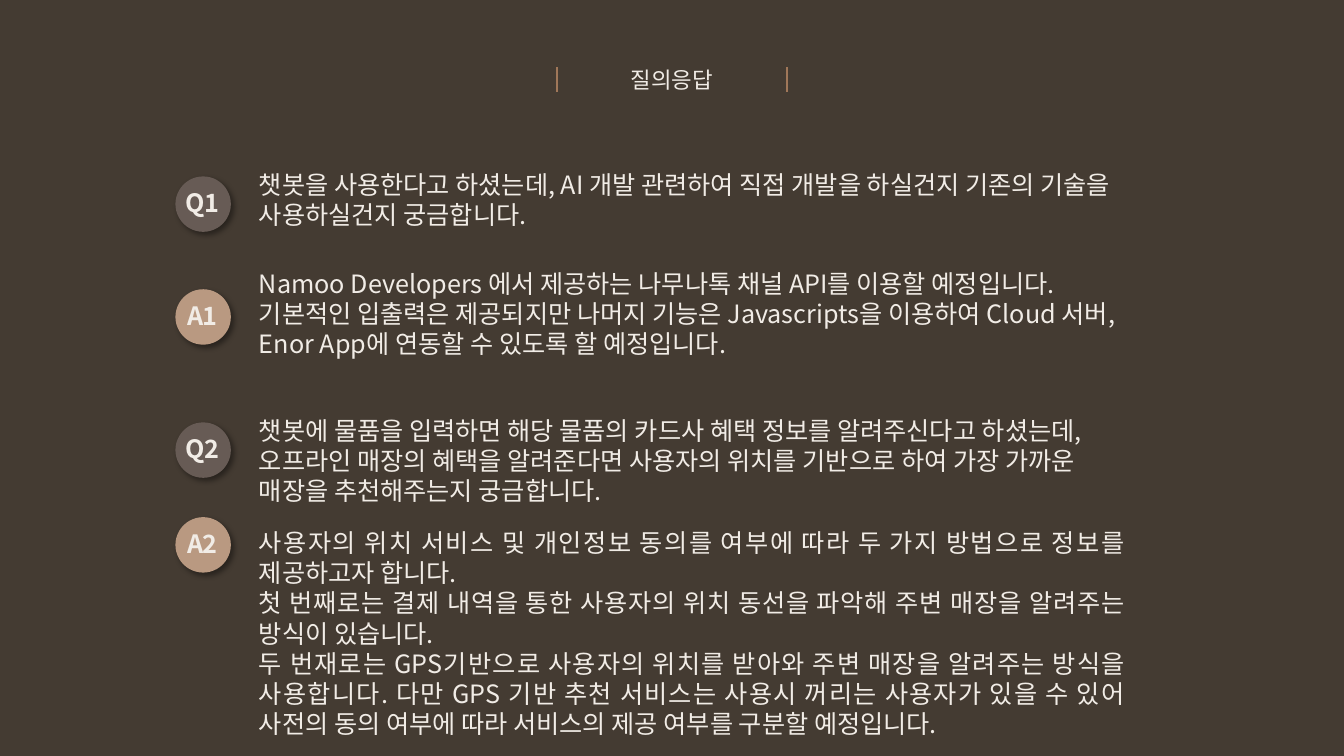
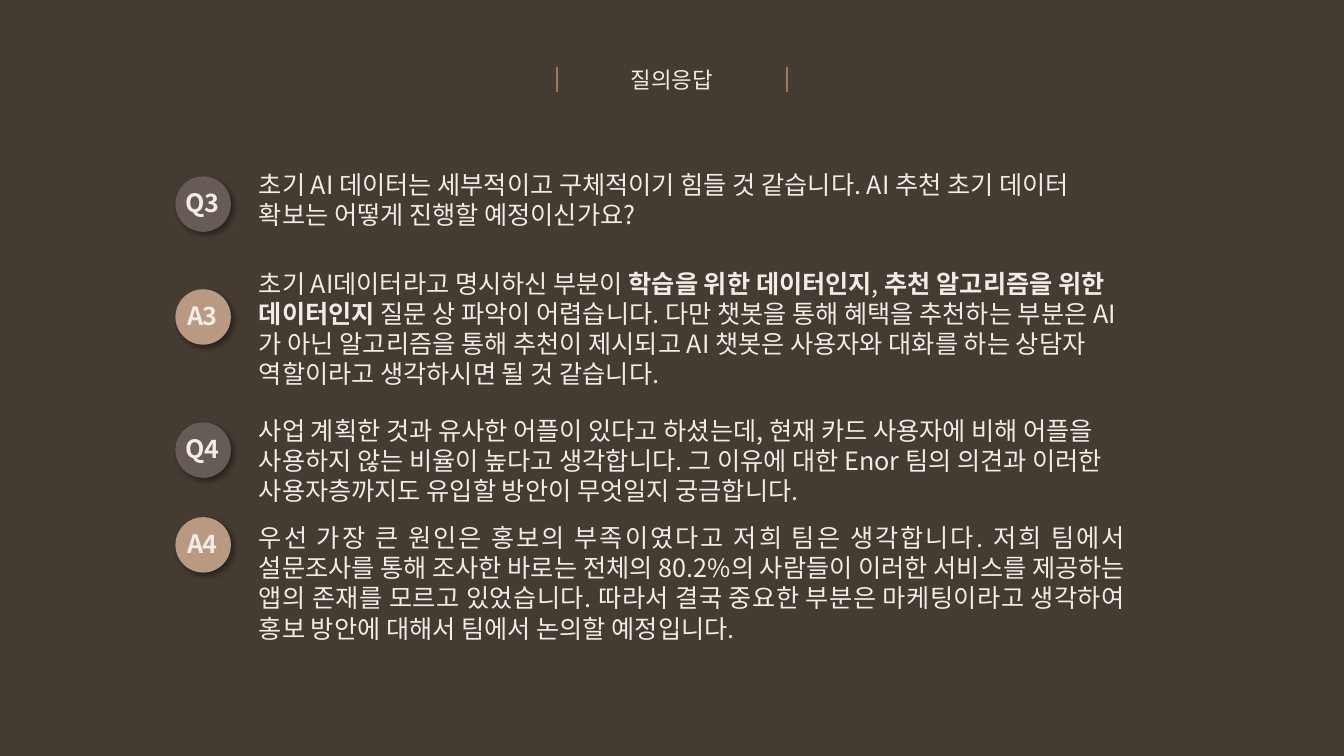
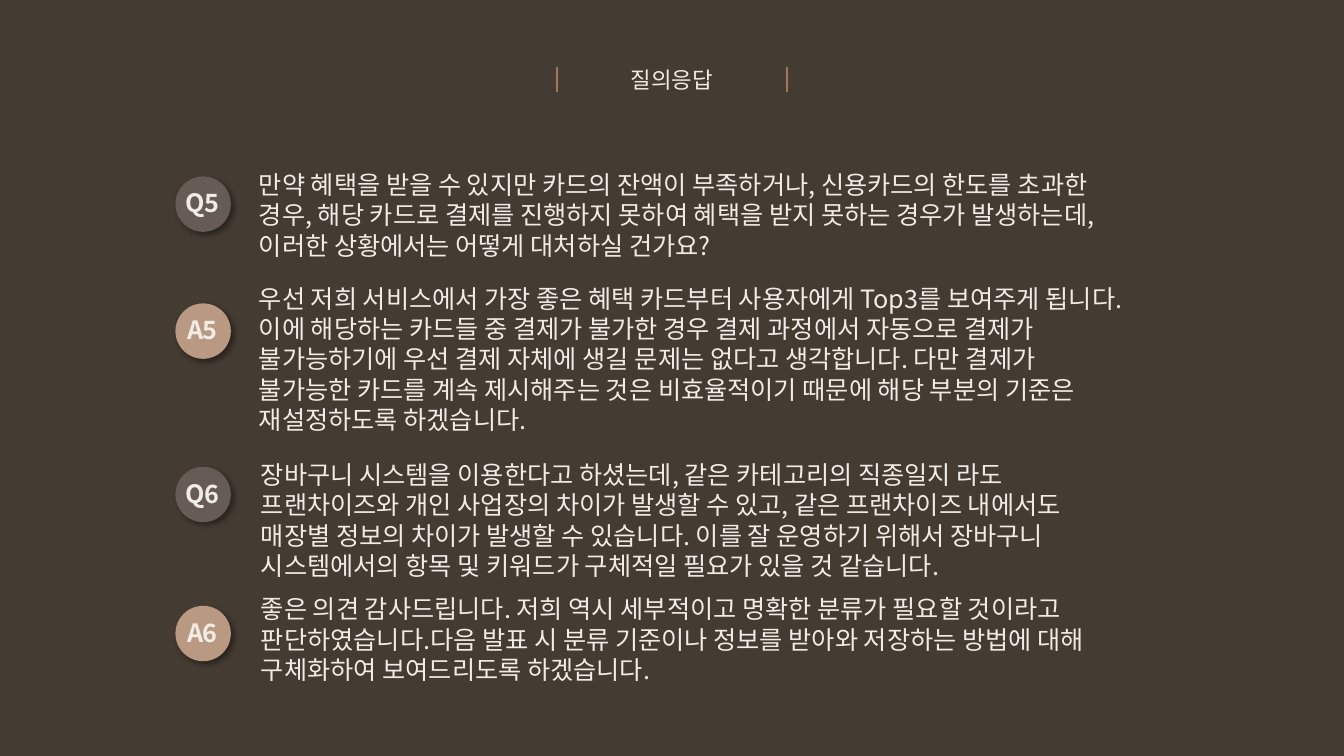
from lxml import etree
from pptx import Presentation
from pptx.dml.color import RGBColor
from pptx.enum.shapes import MSO_CONNECTOR, MSO_SHAPE
from pptx.enum.text import MSO_ANCHOR, MSO_AUTO_SIZE, PP_ALIGN
from pptx.oxml import parse_xml
from pptx.oxml.ns import nsdecls, qn
from pptx.util import Inches, Pt

COLUMNS, ROWS = 96, 54
BACKDROP, CREAM, COPPER = "443B32", "F1ECE6", "A07759"
BADGE_FILLS = {"Q": "675B55", "A": "B99981"}
TITLE_FONT, BODY_FONT = "Noto Sans", "Noto Sans CJK KR"
LEFT, CENTER, JUSTIFY = PP_ALIGN.LEFT, PP_ALIGN.CENTER, PP_ALIGN.JUSTIFY


def color(value):
    return RGBColor.from_string(value)


class Deck:
    """Dark question-and-answer slides laid out on a 96 by 54 grid."""

    def __init__(self):
        self.prs = Presentation()
        self.prs.slide_width, self.prs.slide_height = Inches(13.333), Inches(7.5)
        self.unit_x = self.prs.slide_width / COLUMNS
        self.unit_y = self.prs.slide_height / ROWS
        self.slide = None
        backdrop = self.prs.slide_master.background.fill
        backdrop.solid()
        backdrop.fore_color.rgb = color(BACKDROP)

    def place(self, col, row, cols, rows):
        return (int(col * self.unit_x), int(row * self.unit_y),
                int(cols * self.unit_x), int(rows * self.unit_y))

    def new_slide(self, title):
        self.slide = self.prs.slides.add_slide(self.prs.slide_layouts[5])
        heading = self.slide.shapes.title
        (heading.left, heading.top,
         heading.width, heading.height) = self.place(44.04, 4.39, 7.92, 2.66)
        self.set_text(heading.text_frame, [title], CENTER, 16, TITLE_FONT, wrap=False)
        for offset in (-8.24, 8.24):
            self.divider(COLUMNS / 2 + offset, 4.82, 6.55)

    def set_text(self, frame, paragraphs, align, size=18, font=BODY_FONT,
                 wrap=True, bold=False, spacing=None):
        frame.word_wrap = wrap
        frame.auto_size = MSO_AUTO_SIZE.SHAPE_TO_FIT_TEXT
        frame.vertical_anchor = MSO_ANCHOR.TOP
        for index, text in enumerate(paragraphs):
            paragraph = frame.add_paragraph() if index else frame.paragraphs[0]
            paragraph.alignment = align
            for part, piece in enumerate(text.split("*")):
                run = paragraph.add_run()
                run.text = piece
                run.font.size, run.font.name = Pt(size), font
                run.font.bold = bold or part % 2 == 1
                run.font.color.rgb = color(CREAM)
                props = run._r.get_or_add_rPr()
                etree.SubElement(props, qn("a:ea")).set("typeface", BODY_FONT)
                if spacing is not None:
                    props.set("spc", str(int(spacing * 100)))

    def divider(self, col, top, bottom):
        x, y, _, height = self.place(col, top, 0, bottom - top)
        line = self.slide.shapes.add_connector(
            MSO_CONNECTOR.STRAIGHT, x, y, x, y + height)
        line.line.color.rgb = color(COPPER)
        line.line.width = Pt(1.25)
        etree.SubElement(line._element.spPr, qn("a:effectLst"))

    def badge(self, label, row):
        disc = self.slide.shapes.add_shape(
            MSO_SHAPE.OVAL, *self.place(12.53, row, 3.96, 3.96))
        disc.fill.solid()
        disc.fill.fore_color.rgb = color(BADGE_FILLS[label[0]])
        disc.line.fill.background()
        disc._element.spPr.append(parse_xml(
            f'<a:effectLst {nsdecls("a")}><a:outerShdw blurRad="{Pt(4)}" '
            f'dist="{Pt(3)}" dir="{45 * 60000}" algn="tl" rotWithShape="0">'
            '<a:srgbClr val="000000"><a:alpha val="40000"/></a:srgbClr>'
            '</a:outerShdw></a:effectLst>'))
        box = self.slide.shapes.add_textbox(*self.place(11.23, row + 0.46, 6.48, 2.88))
        self.set_text(box.text_frame, [label], CENTER, bold=True, spacing=-0.5)

    def passage(self, paragraphs, row, lines, align, col):
        box = self.slide.shapes.add_textbox(
            *self.place(col, row, 63.29, 0.72 + 2.18 * lines))
        self.set_text(box.text_frame, paragraphs, align)

    def entry(self, label, badge_row, text_row, lines, paragraphs, align=LEFT, col=17.78):
        self.badge(label, badge_row)
        self.passage(paragraphs, text_row, lines, align, col)


SLIDES = [
    [
        ("Q1", 12.6, 11.74, 2, [
            "챗봇을 사용한다고 하셨는데, AI 개발 관련하여 직접 개발을 하실건지 기존의 "
            "기술을 사용하실건지 궁금합니다."]),
        ("A1", 20.66, 18.79, 3, [
            "Namoo Developers 에서 제공하는 나무나톡 채널 API를 이용할 예정입니다.",
            "기본적인 입출력은 제공되지만 나머지 기능은 Javascripts을 이용하여 Cloud "
            "서버, Enor App에 연동할 수 있도록 할 예정입니다."]),
        ("Q2", 30.17, 29.3, 3, [
            "챗봇에 물품을 입력하면 해당 물품의 카드사 혜택 정보를 알려주신다고 하셨는데, "
            "오프라인 매장의 혜택을 알려준다면 사용자의 위치를 기반으로 하여 가장 가까운 "
            "매장을 추천해주는지 궁금합니다."]),
        ("A2", 36.94, 37.3, 7, [
            "사용자의 위치 서비스 및 개인정보 동의를 여부에 따라 두 가지 방법으로 정보를 "
            "제공하고자 합니다.",
            "첫 번째로는 결제 내역을 통한 사용자의 위치 동선을 파악해 주변 매장을 알려주는 "
            "방식이 있습니다.",
            "두 번재로는 GPS기반으로 사용자의 위치를 받아와 주변 매장을 알려주는 방식을 "
            "사용합니다. 다만 GPS 기반 추천 서비스는 사용시 꺼리는 사용자가 있을 수 있어 "
            "사전의 동의 여부에 따라 서비스의 제공 여부를 구분할 예정입니다."], JUSTIFY),
    ],
    [
        ("Q3", 12.6, 11.74, 2, [
            "초기 AI 데이터는 세부적이고 구체적이기 힘들 것 같습니다. AI 추천 초기 데이터 "
            "확보는 어떻게 진행할 예정이신가요?"]),
        ("A3", 20.66, 18.79, 5, [
            "초기 AI데이터라고 명시하신 부분이 *학습을 위한 데이터인지*, *추천 알고리즘을 "
            "위한 데이터인지 *질문 상 파악이 어렵습니다. 다만 챗봇을 통해 혜택을 추천하는 "
            "부분은 AI가 아닌 알고리즘을 통해 추천이 제시되고 AI 챗봇은 사용자와 대화를 "
            "하는 상담자 역할이라고 생각하시면 될 것 같습니다."]),
        ("Q4", 30.17, 29.3, 3, [
            "사업 계획한 것과 유사한 어플이 있다고 하셨는데, 현재 카드 사용자에 비해 어플을 "
            "사용하지 않는 비율이 높다고 생각합니다. 그 이유에 대한 Enor 팀의 의견과 "
            "이러한 사용자층까지도 유입할 방안이 무엇일지 궁금합니다."]),
        ("A4", 36.94, 36.94, 4, [
            "우선 가장 큰 원인은 홍보의 부족이였다고 저희 팀은 생각합니다. 저희 팀에서 "
            "설문조사를 통해 조사한 바로는 전체의 80.2%의 사람들이 이러한 서비스를 "
            "제공하는 앱의 존재를 모르고 있었습니다. 따라서 결국 중요한 부분은 "
            "마케팅이라고 생각하여 홍보 방안에 대해서 팀에서 논의할 예정입니다."], JUSTIFY),
    ],
    [
        ("Q5", 12.6, 11.74, 3, [
            "만약 혜택을 받을 수 있지만 카드의 잔액이 부족하거나, 신용카드의 한도를 초과한 "
            "경우, 해당 카드로 결제를 진행하지 못하여 혜택을 받지 못하는 경우가 발생하는데, "
            "이러한 상황에서는 어떻게 대처하실 건가요?"]),
        ("A5", 21.67, 19.87, 5, [
            "우선 저희 서비스에서 가장 좋은 혜택 카드부터 사용자에게 Top3를 보여주게 "
            "됩니다. 이에 해당하는 카드들 중 결제가 불가한 경우 결제 과정에서 자동으로 "
            "결제가 불가능하기에 우선 결제 자체에 생길 문제는 없다고 생각합니다. 다만 "
            "결제가 불가능한 카드를 계속 제시해주는 것은 비효율적이기 때문에 해당 부분의 "
            "기준은 재설정하도록 하겠습니다."]),
        ("Q6", 33.34, 32.47, 4, [
            "장바구니 시스템을 이용한다고 하셨는데, 같은 카테고리의 직종일지 라도 "
            "프랜차이즈와 개인 사업장의 차이가 발생할 수 있고, 같은 프랜차이즈 내에서도 "
            "매장별 정보의 차이가 발생할 수 있습니다. 이를 잘 운영하기 위해서 장바구니 "
            "시스템에서의 항목 및 키워드가 구체적일 필요가 있을 것 같습니다."], LEFT, 17.93),
        ("A6", 43.27, 42.05, 3, [
            "좋은 의견 감사드립니다. 저희 역시 세부적이고 명확한 분류가 필요할 것이라고 "
            "판단하였습니다.다음 발표 시 분류 기준이나 정보를 받아와 저장하는 방법에 대해 "
            "구체화하여 보여드리도록 하겠습니다."], LEFT, 17.93),
    ],
]

deck = Deck()
for entries in SLIDES:
    deck.new_slide("질의응답")
    for item in entries:
        deck.entry(*item)
deck.prs.save("out.pptx")
